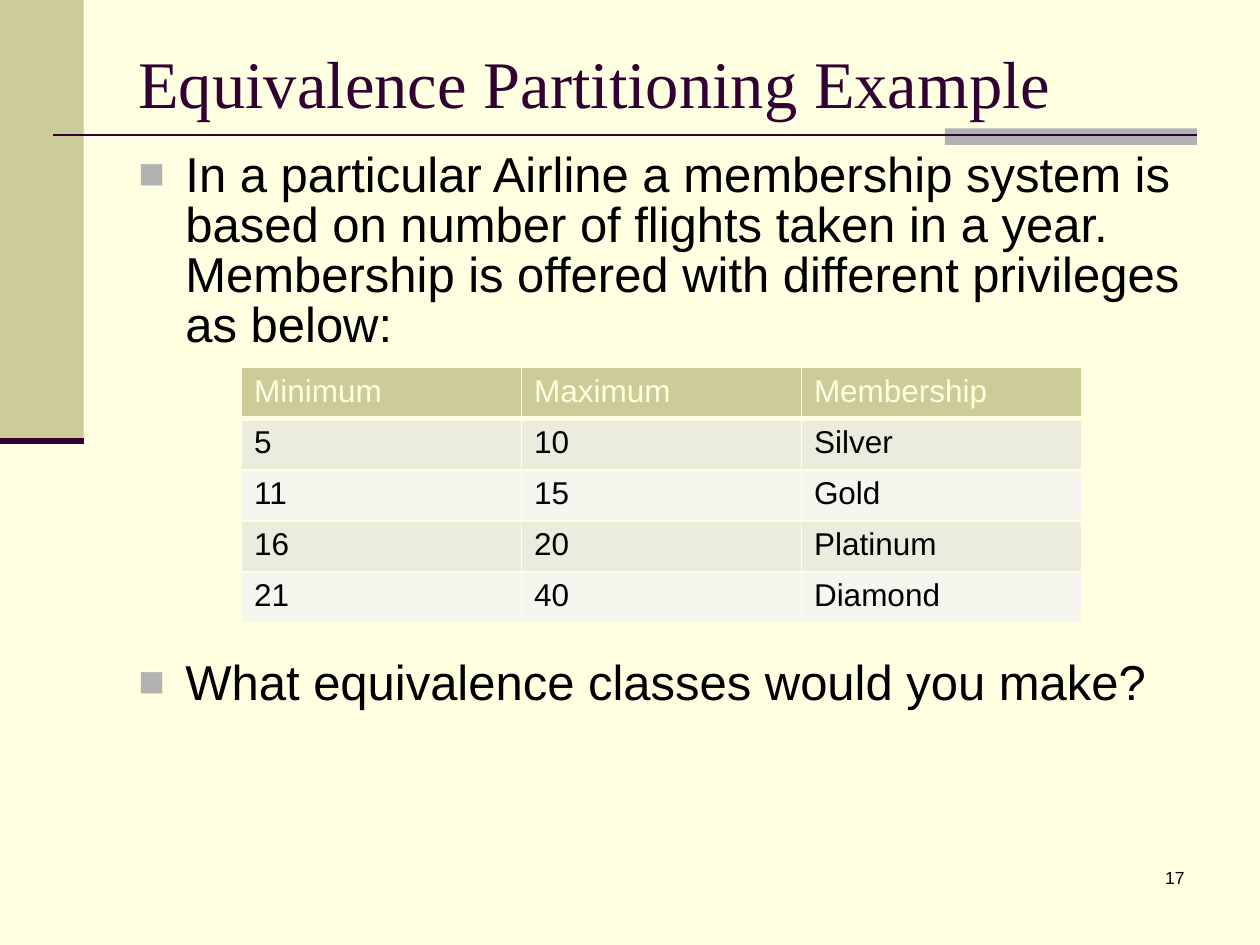
from lxml.etree import SubElement
from pptx import Presentation
from pptx.dml.color import RGBColor
from pptx.enum.shapes import MSO_CONNECTOR, MSO_SHAPE
from pptx.enum.text import MSO_ANCHOR, PP_ALIGN
from pptx.oxml.ns import qn
from pptx.util import Cm, Pt

HUES = {"page": "FFFFE1", "sand": "CCCC99", "gray": "B2B2B2", "plum": "330033",
        "ink": "000000", "odd": "ECECDE", "even": "F6F6EF"}
ROWS = [("Minimum", "Maximum", "Membership"),
        ("5", "10", "Silver"),
        ("11", "15", "Gold"),
        ("16", "20", "Platinum"),
        ("21", "40", "Diamond")]
ITEMS = [("In a particular Airline a membership system is based on number of "
          "flights taken in a year. Membership is offered with different "
          "privileges as below:", 0),
         ("What equivalence classes would you make?", 176)]


def hue(name):
    return RGBColor.from_string(HUES[name])


def write(para, text, size=18, font="Arial", color="ink", align=PP_ALIGN.LEFT):
    para.alignment = align
    run = para.add_run()
    run.text = text
    run.font.size = Pt(size)
    run.font.name = font
    run.font.color.rgb = hue(color)


def frame(slide, box, anchor=MSO_ANCHOR.TOP):
    text = slide.shapes.add_textbox(*map(Cm, box)).text_frame
    text.word_wrap = True
    text.vertical_anchor = anchor
    return text


def block(slide, box, color):
    shape = slide.shapes.add_shape(MSO_SHAPE.RECTANGLE, *map(Cm, box))
    shape.shadow.inherit = False
    shape.fill.solid()
    shape.fill.fore_color.rgb = hue(color)
    shape.line.fill.background()


def rule(slide, left, top, width, weight):
    line = slide.shapes.add_connector(
        MSO_CONNECTOR.STRAIGHT, Cm(left), Cm(top), Cm(left + width), Cm(top))
    line.line.color.rgb = hue("plum")
    line.line.width = Pt(weight)
    SubElement(line._element.spPr, qn("a:effectLst"))


def bullet(para):
    props = para._p.get_or_add_pPr()
    props.set("marL", str(Cm(0.95)))
    props.set("indent", str(-Cm(0.95)))
    tint = SubElement(props, qn("a:buClr"))
    SubElement(tint, qn("a:srgbClr"), val=HUES["gray"])
    SubElement(props, qn("a:buSzPct"), val="90000")
    SubElement(props, qn("a:buFont"), typeface="Arial")
    SubElement(props, qn("a:buChar"), char="■")


def border(cell, base):
    props = cell._tc.get_or_add_tcPr()
    sides = {"lnL": 1, "lnR": 1, "lnT": 1, "lnB": base}
    for spot, (side, weight) in enumerate(sides.items()):
        line = SubElement(props, qn("a:" + side), w=str(Pt(weight)))
        fill = SubElement(line, qn("a:solidFill"))
        SubElement(fill, qn("a:srgbClr"), val=HUES["page"])
        props.insert(spot, line)


def add_side(slide, box):
    left, top, width, height = box
    block(slide, box, "sand")
    rule(slide, left, top + height, width, 3.5)


def add_head(slide, box):
    left, top, width, height = box
    block(slide, (left + width - 5.08, top + 1.83, 5.08, 0.33), "gray")
    rule(slide, left - 1.48, top + 1.96, width + 1.48, 1.5)
    text = frame(slide, box, MSO_ANCHOR.MIDDLE)
    write(text.paragraphs[0], "Equivalence Partitioning Example",
          size=38, font="Times New Roman", color="plum")


def add_body(slide, box):
    text = frame(slide, box)
    for spot, (words, gap) in enumerate(ITEMS):
        para = text.add_paragraph() if spot else text.paragraphs[0]
        para.line_spacing = 0.85
        if gap:
            para.space_before = Pt(gap)
        bullet(para)
        write(para, words, size=28)


def add_grid(slide, box):
    left, top, width, height = box
    table = slide.shapes.add_table(
        len(ROWS), len(ROWS[0]), *map(Cm, box)).table
    for col in table.columns:
        col.width = Cm(width / len(ROWS[0]))
    for y, row in enumerate(ROWS):
        table.rows[y].height = Cm(height / len(ROWS))
        for x, words in enumerate(row):
            cell = table.cell(y, x)
            cell.fill.solid()
            cell.fill.fore_color.rgb = hue(
                "sand" if y == 0 else "odd" if y % 2 else "even")
            border(cell, 1 if y else 3)
            write(cell.text_frame.paragraphs[0], words,
                  color="ink" if y else "page")


def add_foot(slide, box):
    write(frame(slide, box).paragraphs[0], "17", size=10, align=PP_ALIGN.RIGHT)


def main():
    deck = Presentation()
    deck.slide_width, deck.slide_height = Cm(25.4), Cm(19.05)
    slide = deck.slides.add_slide(deck.slide_layouts[6])
    slide.background.fill.solid()
    slide.background.fill.fore_color.rgb = hue("page")
    add_side(slide, (0, 0, 1.69, 8.89))
    add_head(slide, (2.54, 0.76, 21.59, 1.78))
    add_body(slide, (2.54, 2.96, 21.59, 13.76))
    add_grid(slide, (4.87, 7.41, 16.93, 5.15))
    add_foot(slide, (18.84, 17.36, 5.29, 1.27))
    deck.save("out.pptx")


if __name__ == "__main__":
    main()
